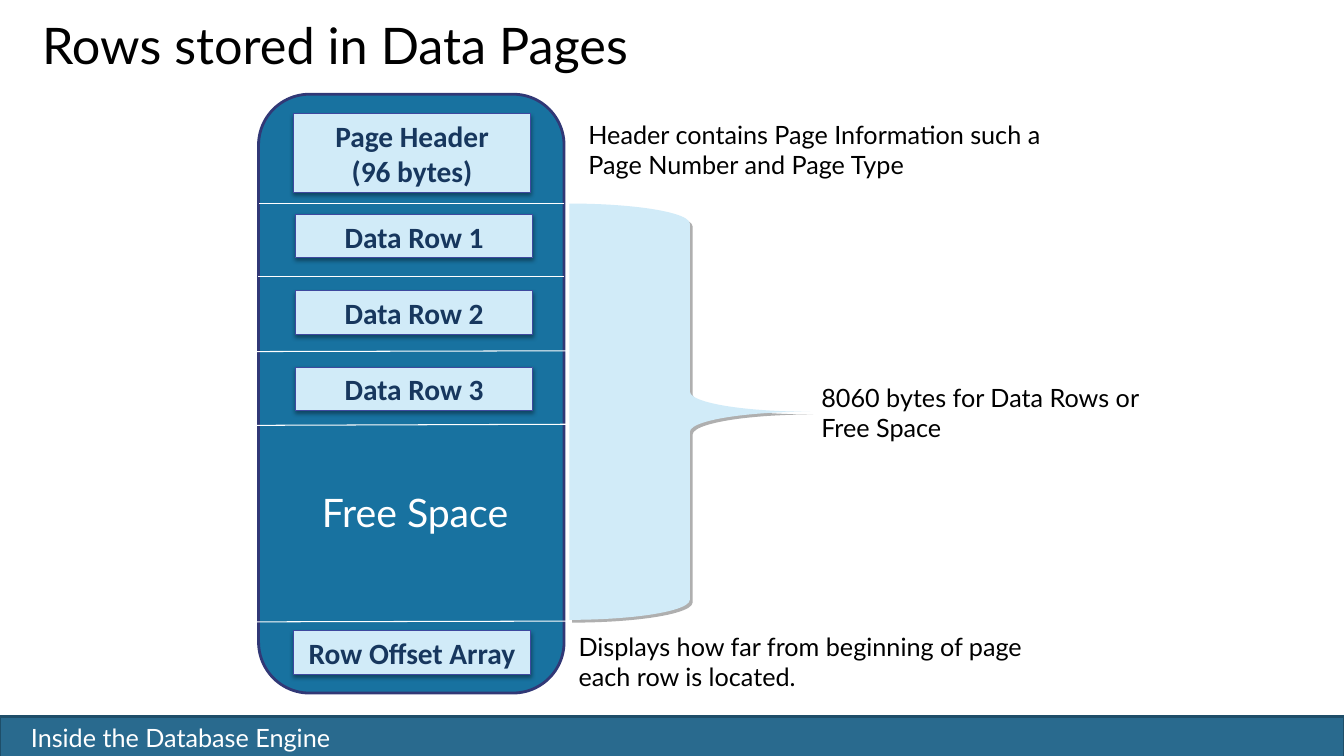
from dataclasses import dataclass

from lxml.etree import SubElement
from pptx import Presentation
from pptx.dml.color import RGBColor as Rgb
from pptx.enum.shapes import MSO_CONNECTOR as Link, MSO_SHAPE as Kind
from pptx.enum.text import MSO_ANCHOR as Anchor, MSO_AUTO_SIZE as Fit, PP_ALIGN as Align
from pptx.oxml.ns import qn
from pptx.util import Cm, Pt


@dataclass(frozen=True)
class Theme:
    white: str = "FFFFFF"
    black: str = "000000"
    navy: str = "17375E"
    pale: str = "D1EBF8"
    edge: str = "3E499F"
    blue: str = "1872A0"
    rim: str = "313876"
    bar: str = "296A8E"
    trim: str = "1E4E69"
    gray: str = "AFAFAF"
    sans: str = "Lato"
    bold: str = "Calibri"
    head: int = 36
    free: int = 28
    cell: int = 21
    note: int = 18


T = Theme()


def cms(*nums):
    return [Cm(num) for num in nums]


def write(frame, text, size=T.note, color=T.black, font=T.sans, bold=False,
          align=Align.LEFT, anchor=Anchor.TOP, pad=(0.25, 0.13), lead=None):
    frame.word_wrap = True
    frame.auto_size = Fit.NONE
    frame.vertical_anchor = anchor
    frame.margin_left = frame.margin_right = Cm(pad[0])
    frame.margin_top = frame.margin_bottom = Cm(pad[1])
    for i, line in enumerate(text.split("\n")):
        para = frame.add_paragraph() if i else frame.paragraphs[0]
        para.alignment = align
        para.space_before = Pt(0)
        if lead:
            para.line_spacing = Pt(lead)
        run = para.add_run()
        run.text = line
        run.font.size = Pt(size)
        run.font.name = font
        run.font.bold = bold
        run.font.color.rgb = Rgb.from_string(color)


def shade(shape, color, alpha, blur, dist, angle):
    fx = shape._element.spPr.find(qn("a:effectLst"))
    cast = SubElement(fx, qn("a:outerShdw"), blurRad=str(Pt(blur)), dist=str(Pt(dist)),
                      dir=str(angle * 60000), algn="ctr", rotWithShape="0")
    tint = SubElement(cast, qn("a:srgbClr"), val=color)
    SubElement(tint, qn("a:alpha"), val=str(alpha * 1000))


def form(slide, kind, place, fill, line=None, width=2):
    shape = slide.shapes.add_shape(kind, *cms(*place))
    shape.shadow.inherit = False
    shape.fill.solid()
    shape.fill.fore_color.rgb = Rgb.from_string(fill)
    if line:
        shape.line.color.rgb = Rgb.from_string(line)
        shape.line.width = Pt(width)
    else:
        shape.line.fill.background()
    return shape


def cell(slide, text, left, top, high=1.09):
    box = form(slide, Kind.RECTANGLE, (left, top, 5.99, high), T.pale, T.edge, 0.75)
    shade(box, T.black, 38, 3.1, 1.6, 90)
    write(box.text_frame, text, size=T.cell, color=T.navy, font=T.bold, bold=True,
          align=Align.CENTER, anchor=Anchor.MIDDLE, pad=(0.18, 0.1))


def rule(slide, ends):
    line = slide.shapes.add_connector(Link.STRAIGHT, *cms(*ends))
    line.line.color.rgb = Rgb.from_string(T.white)
    line.line.width = Pt(0.75)
    SubElement(line._element.spPr, qn("a:effectLst"))


def label(slide, text, place, **style):
    box = slide.shapes.add_textbox(*cms(*place))
    write(box.text_frame, text, **style)


def title(slide, text):
    head = slide.shapes.title
    head.left, head.top, head.width, head.height = cms(0.81, 0.51, 30.48, 3.18)
    write(head.text_frame, text, size=T.head, lead=35)


def page(slide):
    body = form(slide, Kind.ROUNDED_RECTANGLE, (2.82, 6.07, 15.09, 7.7), T.blue, T.rim)
    body.rotation = 90
    for ends in (
        (14.22, 5.13, 6.53, 5.13),
        (14.22, 6.96, 6.5, 6.96),
        (14.33, 8.84, 5.79, 8.86),
        (14.35, 10.69, 5.82, 10.72),
        (14.71, 15.65, 6.17, 15.67),
    ):
        rule(slide, ends)
    cell(slide, "Page Header\n(96 bytes)", 7.39, 2.87, 1.98)
    for i in range(3):
        cell(slide, f"Data Row {i + 1}", 7.44, 5.41 + 1.92 * i)
    cell(slide, "Row Offset Array", 7.39, 15.9)
    label(slide, "Free Space", (7.21, 12.17, 6.5, 1.45), size=T.free, color=T.white,
          align=Align.CENTER)


def notes(slide):
    brace = form(slide, Kind.RIGHT_BRACE, (14.35, 5.13, 6.07, 10.49), T.pale)
    shade(brace, T.gray, 100, 0, 2.8, 45)
    label(slide, "Header contains Page Information such a Page Number and Page Type",
          (14.58, 2.87, 12.32, 1.8))
    label(slide, "8060 bytes for Data Rows or Free Space", (20.45, 9.5, 8.84, 1.8))
    label(slide, "Displays how far from beginning of page each row is located.",
          (14.33, 15.77, 12.32, 1.8))


def main():
    deck = Presentation()
    deck.slide_width, deck.slide_height = cms(33.87, 19.05)
    slide = deck.slides.add_slide(deck.slide_layouts[5])
    form(slide, Kind.RECTANGLE, (0, 18.06, 33.87, 1.02), T.bar, T.trim)
    label(slide, "Inside the Database Engine", (0.53, 18.06, 14.3, 1.02), color=T.white)
    title(slide, "Rows stored in Data Pages")
    page(slide)
    notes(slide)
    deck.save("out.pptx")


if __name__ == "__main__":
    main()
